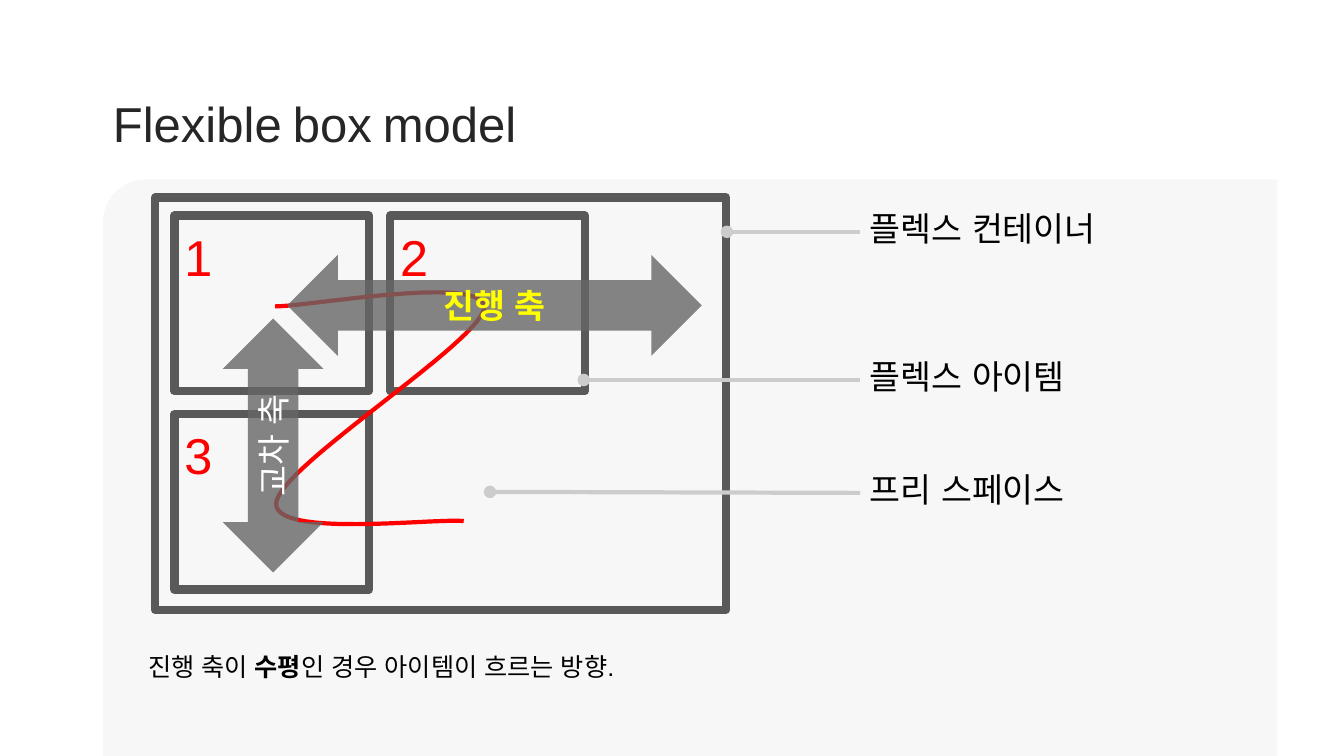
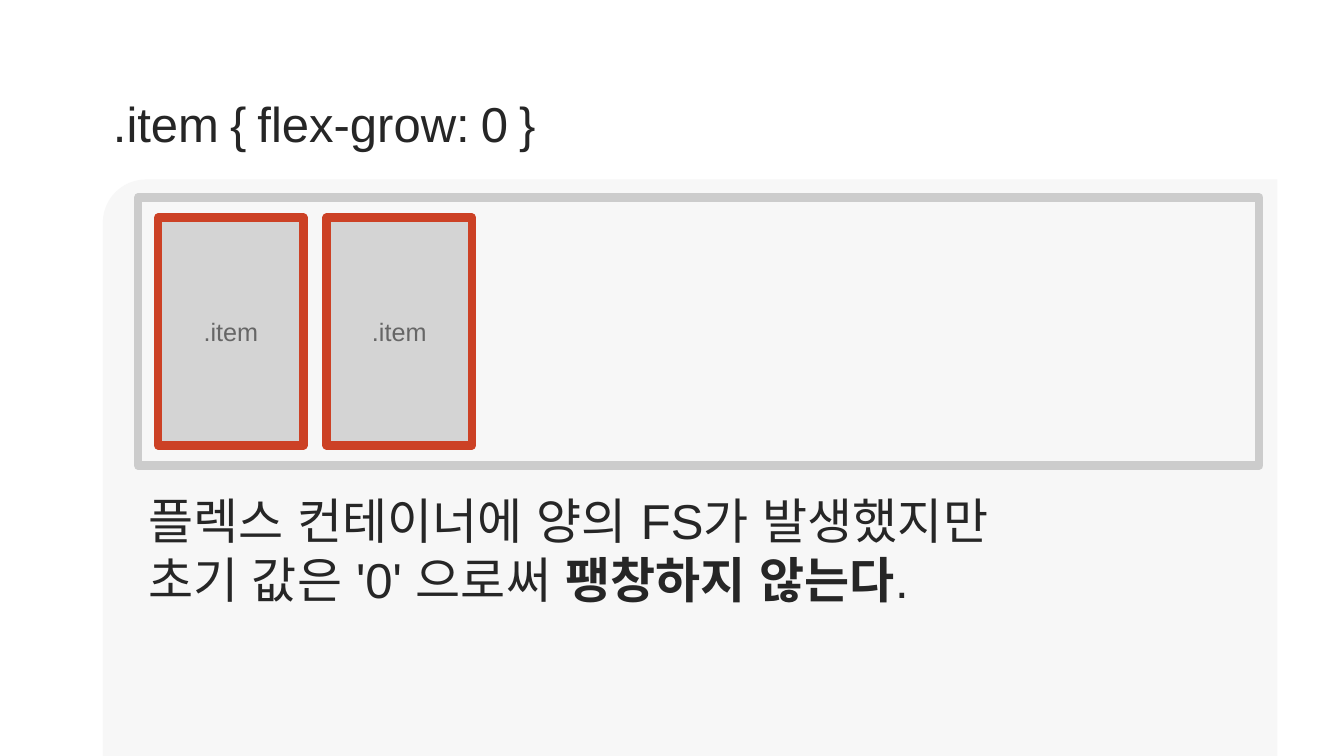
from dataclasses import dataclass
from typing import NamedTuple

from lxml.etree import SubElement
from pptx import Presentation
from pptx.dml.color import RGBColor
from pptx.enum.shapes import MSO_CONNECTOR, MSO_SHAPE as Preset
from pptx.enum.text import MSO_ANCHOR as Anchor, MSO_AUTO_SIZE, PP_ALIGN as Align
from pptx.oxml.ns import qn
from pptx.util import Emu, Pt

EMU_PER_PX = 9144
FONT = "Arial"
INK, BLACK, WHITE = "262626", "000000", "FFFFFF"
PANEL, SILVER = "F7F7F7", "CCCCCC"
GRAPHITE, GRAY = "595959", "666666"
RED, YELLOW, BRICK = "FF0000", "FFFF00", "CC4125"
TITLE_SIZE, TITLE_SPACE_SIZE = 35, 28
BORDER, THIN = 6, 3
OPACITY = 80
CURVE_STEPS = 32


class Box(NamedTuple):
    left: int
    top: int
    width: int
    height: int


class Point(NamedTuple):
    x: float
    y: float


class Phrase(NamedTuple):
    text: str
    bold: bool = False


@dataclass(frozen=True)
class TextStyle:
    size: int
    color: str
    bold: bool = False
    align: Align = Align.LEFT
    anchor: Anchor = Anchor.TOP
    inset_y: int = 10


@dataclass(frozen=True)
class Callout:
    text: str
    top: int
    target: Point


@dataclass(frozen=True)
class Axis:
    text: str
    box: Box
    rotation: int
    style: TextStyle


NUMBER = TextStyle(36, RED)
LABEL = TextStyle(24, BLACK)
CAPTION = TextStyle(18, BLACK)
STATEMENT = TextStyle(35, INK, inset_y=5)
ITEM = TextStyle(18, GRAY, align=Align.CENTER, anchor=Anchor.MIDDLE)
MAIN_AXIS = TextStyle(24, YELLOW, True, Align.CENTER, Anchor.MIDDLE)
CROSS_AXIS = TextStyle(24, WHITE, False, Align.CENTER, Anchor.MIDDLE)

CALLOUTS = (
    Callout("플렉스 컨테이너", 196, Point(721, 230)),
    Callout("플렉스 아이템", 343, Point(579, 377)),
    Callout("프리 스페이스", 455, Point(486, 488)),
)
AXES = (
    Axis("진행 축", Box(285, 253, 411, 100), 0, MAIN_AXIS),
    Axis("교차 축", Box(145, 392, 252, 100), 270, CROSS_AXIS),
)
FLOW_START = Point(273, 304)
FLOW_CURVES = (
    (Point(307, 304), Point(480, 272), Point(480, 305)),
    (Point(480, 337), Point(277, 463), Point(274, 499)),
    (Point(271, 534), Point(429, 514), Point(460, 517)),
)


def px(length: float) -> Emu:
    return Emu(round(length * EMU_PER_PX))


def place(box: Box) -> tuple:
    return tuple(px(length) for length in box)


def rgb(value: str) -> RGBColor:
    return RGBColor.from_string(value)


def style_font(font, size: int, color: str, bold: bool) -> None:
    font.size = Pt(size)
    font.bold = bold
    font.color.rgb = rgb(color)
    font.name = FONT
    latin = font._rPr.find(qn("a:latin"))
    east_asian = latin.makeelement(qn("a:ea"), {"typeface": FONT})
    latin.addnext(east_asian)


def write(shape, lines: list[list[Phrase]], style: TextStyle) -> None:
    frame = shape.text_frame
    frame.word_wrap = True
    frame.vertical_anchor = style.anchor
    frame.margin_left = frame.margin_right = px(10)
    frame.margin_top = frame.margin_bottom = px(style.inset_y)
    for index, phrases in enumerate(lines):
        paragraph = frame.paragraphs[0] if index == 0 else frame.add_paragraph()
        paragraph.alignment = style.align
        style_font(paragraph.font, style.size, style.color, style.bold)
        for phrase in phrases:
            run = paragraph.add_run()
            run.text = phrase.text
            if phrase.bold:
                run.font.bold = True


def set_line(shape, color: str, width: int) -> None:
    shape.line.color.rgb = rgb(color)
    shape.line.width = Pt(width)
    SubElement(shape.line._get_or_add_ln(), qn("a:round"))


def add_preset(slide, preset: Preset, box: Box, fill: str = "", border: str = "",
               opacity: int = 100):
    shape = slide.shapes.add_shape(preset, *place(box))
    shape.shadow.inherit = False
    if fill:
        shape.fill.solid()
        shape.fill.fore_color.rgb = rgb(fill)
        if opacity < 100:
            tint = shape._element.spPr.find(qn("a:solidFill"))[0]
            SubElement(tint, qn("a:alpha"), val=str(opacity * 1000))
    else:
        shape.fill.background()
    if border:
        set_line(shape, border, BORDER)
    else:
        shape.line.fill.background()
    return shape


def add_text(slide, box: Box, lines: list[list[Phrase]], style: TextStyle):
    text = slide.shapes.add_textbox(*place(box))
    write(text, lines, style)
    return text


def add_callout(slide, callout: Callout) -> None:
    label = add_text(slide, Box(853, callout.top, 352, 68), [[Phrase(callout.text)]], LABEL)
    start = px(callout.target.x), px(callout.target.y)
    leader = slide.shapes.add_connector(
        MSO_CONNECTOR.STRAIGHT, *start, label.left, label.top + label.height // 2)
    leader.end_connect(label, 1)
    set_line(leader, SILVER, THIN)
    SubElement(leader.line._get_or_add_ln(), qn("a:headEnd"), type="oval")
    SubElement(leader._element.spPr, qn("a:effectLst"))


def curve_points(start: Point, curve: tuple[Point, Point, Point]) -> list[Point]:
    points = []
    for step in range(1, CURVE_STEPS + 1):
        t = step / CURVE_STEPS
        weights = (1 - t) ** 3, 3 * t * (1 - t) ** 2, 3 * t * t * (1 - t), t ** 3
        controls = (start, *curve)
        points.append(Point(sum(w * c.x for w, c in zip(weights, controls)),
                            sum(w * c.y for w, c in zip(weights, controls))))
    return points


def add_flow(slide) -> None:
    start, points = FLOW_START, []
    for curve in FLOW_CURVES:
        points += curve_points(start, curve)
        start = curve[-1]
    builder = slide.shapes.build_freeform(px(FLOW_START.x), px(FLOW_START.y))
    builder.add_line_segments([(px(p.x), px(p.y)) for p in points], close=False)
    flow = builder.convert_to_shape()
    flow.shadow.inherit = False
    flow.fill.background()
    set_line(flow, RED, THIN)


def add_axis(slide, axis: Axis) -> None:
    arrow = add_preset(slide, Preset.LEFT_RIGHT_ARROW, axis.box, GRAY, opacity=OPACITY)
    arrow.rotation = axis.rotation
    write(arrow, [[Phrase(axis.text)]], axis.style)


def add_title(slide, text: str) -> None:
    title = slide.shapes.title
    title.left, title.top, title.width, title.height = place(Box(102, 88, 1231, 67))
    frame = title.text_frame
    frame.auto_size = MSO_AUTO_SIZE.NONE
    frame.word_wrap = True
    frame.vertical_anchor = Anchor.MIDDLE
    frame.margin_left = frame.margin_right = px(10)
    frame.margin_top = frame.margin_bottom = px(5)
    paragraph = frame.paragraphs[0]
    paragraph.alignment = Align.LEFT
    style_font(paragraph.font, TITLE_SIZE, INK, False)
    for index, word in enumerate(text.split()):
        if index:
            space = paragraph.add_run()
            space.text = " "
            space.font.size = Pt(TITLE_SPACE_SIZE)
        paragraph.add_run().text = word


def new_slide(deck, title: str):
    slide = deck.slides.add_slide(deck.slide_layouts.get_by_name("Title Only"))
    add_title(slide, title)
    panel = add_preset(slide, Preset.ROUND_1_RECTANGLE, Box(102, 178, 1165, 572), PANEL)
    panel.adjustments[0] = 0.075
    panel._element.spPr.find(qn("a:xfrm")).set("flipH", "1")
    return slide


def build_box_model(deck) -> None:
    slide = new_slide(deck, "Flexible box model")
    add_preset(slide, Preset.RECTANGLE, Box(154, 196, 566, 409), border=GRAPHITE)
    for index in range(3):
        row, column = divmod(index, 2)
        box = Box(173 + column * 214, 214 + row * 197, 193, 174)
        item = add_preset(slide, Preset.RECTANGLE, box, border=GRAPHITE)
        write(item, [[Phrase(str(index + 1))]], NUMBER)
    for callout in CALLOUTS:
        add_callout(slide, callout)
    add_flow(slide)
    for axis in AXES:
        add_axis(slide, axis)
    caption = [Phrase("진행 축이 "), Phrase("수평", True),
               Phrase("인 경우 아이템이 흐르는 방향.")]
    add_text(slide, Box(137, 636, 804, 71), [caption], CAPTION)


def build_flex_grow(deck) -> None:
    slide = new_slide(deck, ".item { flex-grow: 0 }")
    statement = [
        [Phrase("플렉스 컨테이너에 양의 FS가 발생했지만")],
        [Phrase("초기 값은 '0' 으로써 "), Phrase("팽창하지 않는다", True), Phrase(".")],
    ]
    add_text(slide, Box(137, 482, 1129, 130), statement, STATEMENT)
    add_preset(slide, Preset.RECTANGLE, Box(137, 196, 1112, 266), border=SILVER)
    for column in range(2):
        box = Box(157 + column * 167, 216, 144, 226)
        item = add_preset(slide, Preset.RECTANGLE, box, SILVER, BRICK, OPACITY)
        write(item, [[Phrase(".item")]], ITEM)


def main() -> None:
    deck = Presentation()
    deck.slide_width, deck.slide_height = px(1333), px(750)
    build_box_model(deck)
    build_flex_grow(deck)
    deck.save("out.pptx")


if __name__ == "__main__":
    main()
